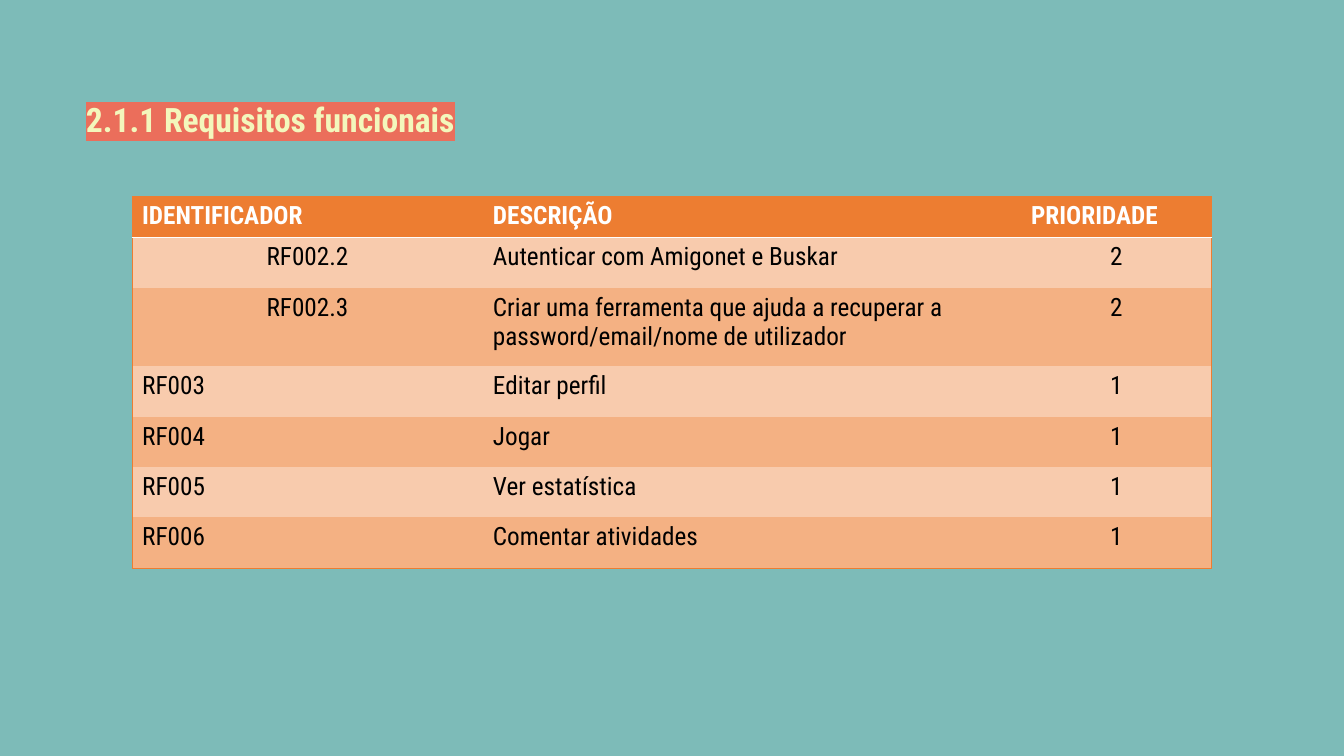
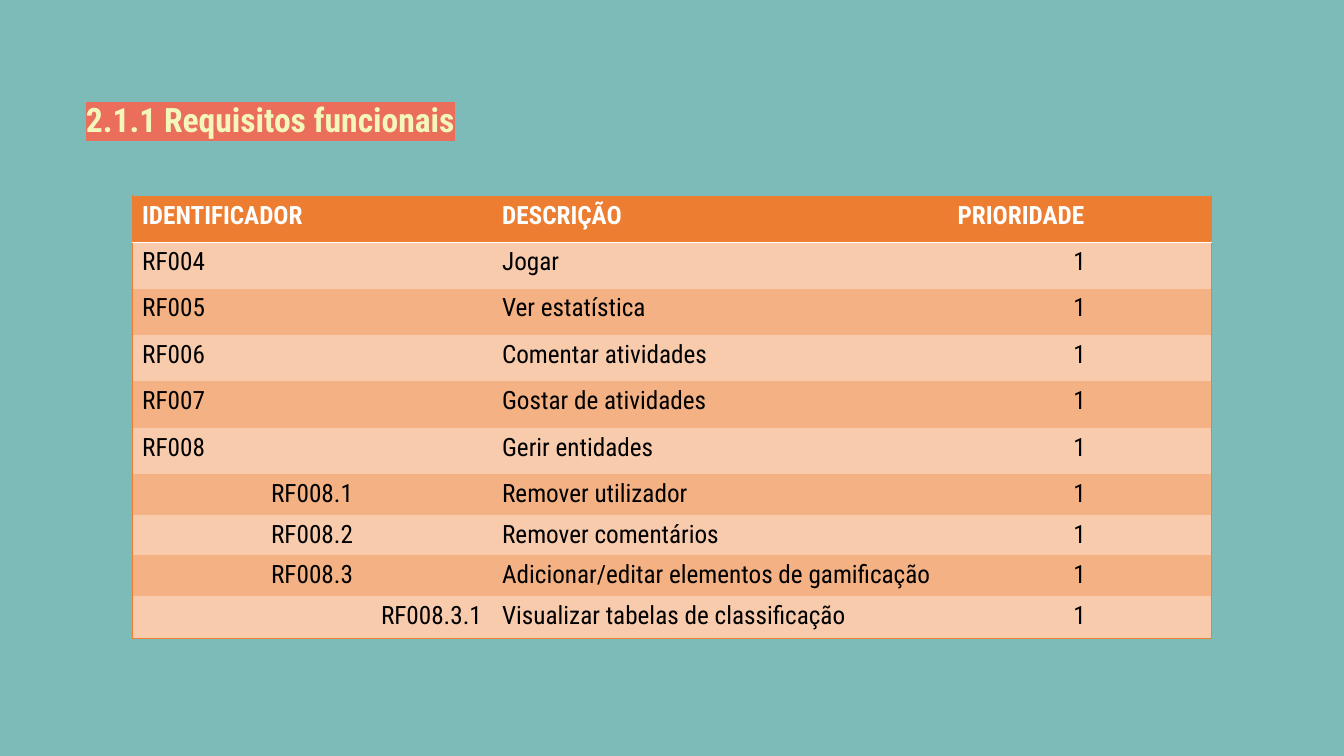
"""Builds two slides that list functional requirements in tables."""
import lxml.etree
import pptx
import pptx.dml.color
import pptx.enum.text
import pptx.oxml.ns
import pptx.util

Cm = pptx.util.Cm
Pt = pptx.util.Pt
RGBColor = pptx.dml.color.RGBColor
Align = pptx.enum.text.PP_ALIGN
qn = pptx.oxml.ns.qn

TEAL = RGBColor(0x7D, 0xBB, 0xB8)
CORAL = RGBColor(0xEB, 0x6E, 0x5B)
CREAM = RGBColor(0xF3, 0xF7, 0xBC)
ORANGE = RGBColor(0xED, 0x7D, 0x31)
LIGHT_BAND = RGBColor(0xF8, 0xCB, 0xAD)
DARK_BAND = RGBColor(0xF4, 0xB1, 0x83)
WHITE = RGBColor(0xFF, 0xFF, 0xFF)
BLACK = RGBColor(0x00, 0x00, 0x00)

FONT = "Roboto Condensed"
TITLE = "2.1.1 Requisitos funcionais"
HEADER = ("IDENTIFICADOR", "DESCRIÇÃO", "PRIORIDADE")
LEVEL_ALIGNMENTS = (Align.LEFT, Align.CENTER, Align.RIGHT)
NO_STYLE = "{2D5ABB26-0587-4C30-8999-92F81FD0307C}"
TABLE_LEFT = 3.33

TABLES = (
    {
        "top": 4.95,
        "widths": (8.84, 13.56, 4.8),
        "heights": (1.03, 1.27, 1.98, 1.27, 1.27, 1.27, 1.27),
        "rows": (
            ("RF002.2", "Autenticar com Amigonet e Buskar", "2"),
            ("RF002.3", "Criar uma ferramenta que ajuda a recuperar a "
                        "password/email/nome de utilizador", "2"),
            ("RF003", "Editar perfil", "1"),
            ("RF004", "Jogar", "1"),
            ("RF005", "Ver estatística", "1"),
            ("RF006", "Comentar atividades", "1"),
        ),
    },
    {
        "top": 4.93,
        "widths": (9.07, 11.48, 6.65),
        "heights": (1.17,) * 6 + (1.02,) * 3 + (1.08,),
        "rows": (
            ("RF004", "Jogar", "1"),
            ("RF005", "Ver estatística", "1"),
            ("RF006", "Comentar atividades", "1"),
            ("RF007", "Gostar de atividades", "1"),
            ("RF008", "Gerir entidades", "1"),
            ("RF008.1", "Remover utilizador", "1"),
            ("RF008.2", "Remover comentários", "1"),
            ("RF008.3", "Adicionar/editar elementos de gamificação", "1"),
            ("RF008.3.1", "Visualizar tabelas de classificação", "1"),
        ),
    },
)


def format_font(font, size, color, bold):
    """Apply the shared typeface with a size, colour and weight."""
    font.name = FONT
    font.size = Pt(size)
    font.bold = bold
    font.color.rgb = color


def add_color(parent, tag, color):
    """Append an element that holds one RGB colour."""
    element = lxml.etree.SubElement(parent, qn(tag))
    lxml.etree.SubElement(element, qn("a:srgbClr"), val=str(color))


def add_border(cell, side, color):
    """Draw a thin line on one side of a cell."""
    properties = cell._tc.get_or_add_tcPr()
    line = lxml.etree.SubElement(properties, qn(f"a:ln{side}"), w=str(Pt(0.25)))
    add_color(line, "a:solidFill", color)


def add_title(slide):
    """Place the highlighted title."""
    title = slide.shapes.title
    title.left, title.top = Cm(1.91), Cm(2.49)
    title.width, title.height = Cm(30.05), Cm(3.07)
    frame = title.text_frame
    frame.text = TITLE
    frame.word_wrap = True
    frame.auto_size = pptx.enum.text.MSO_AUTO_SIZE.NONE
    frame.vertical_anchor = pptx.enum.text.MSO_ANCHOR.TOP
    paragraph = frame.paragraphs[0]
    paragraph.alignment = Align.LEFT
    paragraph.line_spacing = 0.9
    paragraph.space_before = Pt(10)
    format_font(paragraph.font, 24, CREAM, True)
    run_properties = paragraph.runs[0]._r.get_or_add_rPr()
    add_color(run_properties, "a:highlight", CORAL)


def cell_alignment(row, column, text):
    """Align identifiers by nesting level and centre the priorities."""
    if row == 0 or column == 1:
        return Align.LEFT
    return Align.CENTER if column == 2 else LEVEL_ALIGNMENTS[text.count(".")]


def fill_cell(cell, text, row, column, last_row):
    """Write and format one table cell."""
    is_header = row == 0
    borders = (
        ("L", column == 0, ORANGE),
        ("R", column == len(HEADER) - 1, ORANGE),
        ("T", is_header, ORANGE),
        ("B", is_header or row == last_row, WHITE if is_header else ORANGE),
    )
    for side, visible, color in borders:
        if visible:
            add_border(cell, side, color)
    cell.fill.solid()
    band = LIGHT_BAND if row % 2 else DARK_BAND
    cell.fill.fore_color.rgb = ORANGE if is_header else band
    cell.text = text
    paragraph = cell.text_frame.paragraphs[0]
    paragraph.alignment = cell_alignment(row, column, text)
    format_font(paragraph.font, 18, WHITE if is_header else BLACK, is_header)


def add_requirements_table(slide, top, widths, heights, rows):
    """Add a banded table of requirements below the title."""
    contents = (HEADER, *rows)
    table = slide.shapes.add_table(
        len(contents), len(HEADER), Cm(TABLE_LEFT), Cm(top),
        Cm(sum(widths)), Cm(sum(heights))).table
    table._tbl.tblPr.find(qn("a:tableStyleId")).text = NO_STYLE
    for column, width in zip(table.columns, widths):
        column.width = Cm(width)
    for row, height in zip(table.rows, heights):
        row.height = Cm(height)
    for row, texts in enumerate(contents):
        for column, text in enumerate(texts):
            fill_cell(table.cell(row, column), text, row, column, len(rows))


def main():
    """Build and save the presentation."""
    presentation = pptx.Presentation()
    presentation.slide_width = Cm(33.87)
    presentation.slide_height = Cm(19.05)
    background = presentation.slide_master.background.fill
    background.solid()
    background.fore_color.rgb = TEAL
    title_only = presentation.slide_layouts[5]
    for content in TABLES:
        slide = presentation.slides.add_slide(title_only)
        add_title(slide)
        add_requirements_table(slide, **content)
    presentation.save("out.pptx")


if __name__ == "__main__":
    main()
